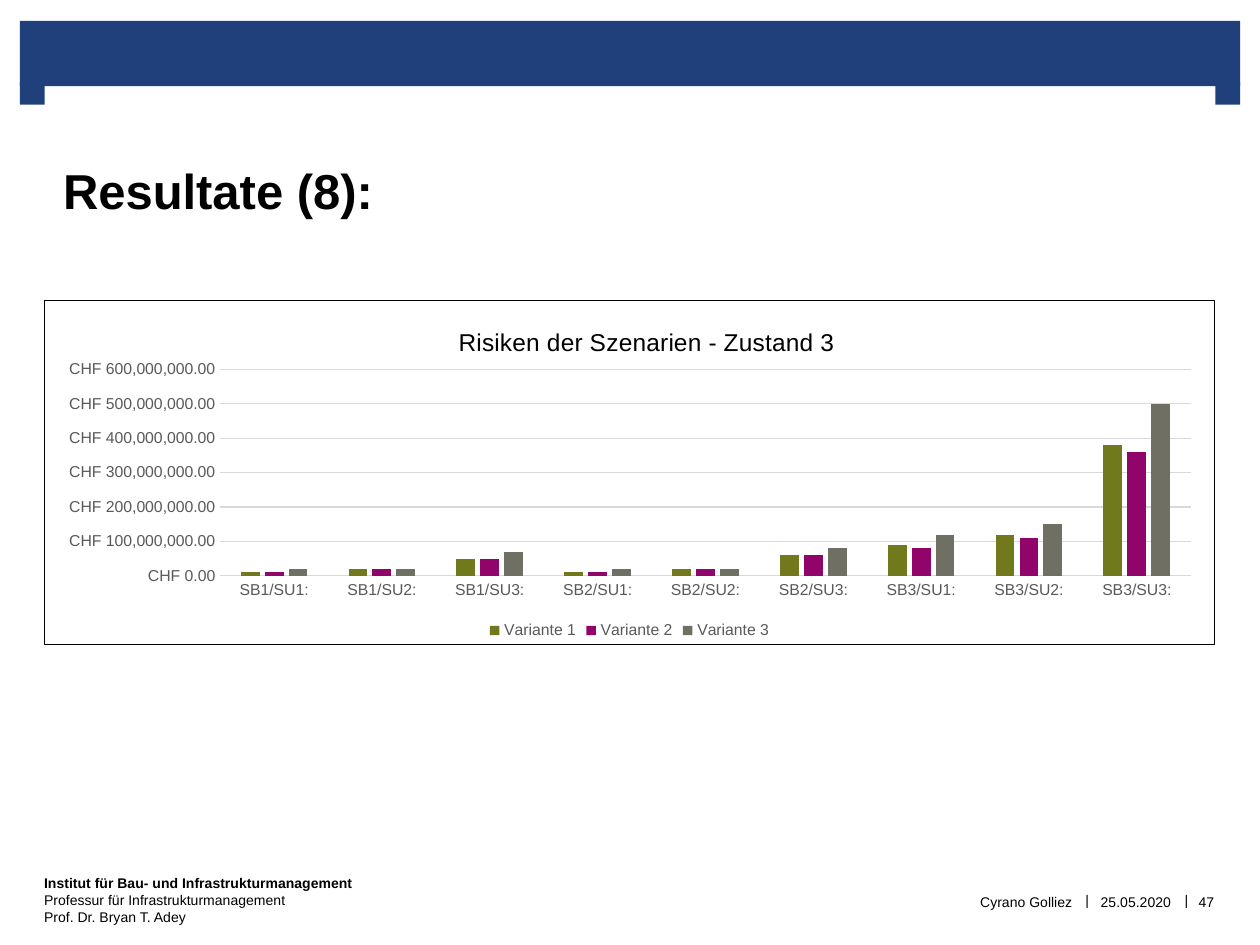
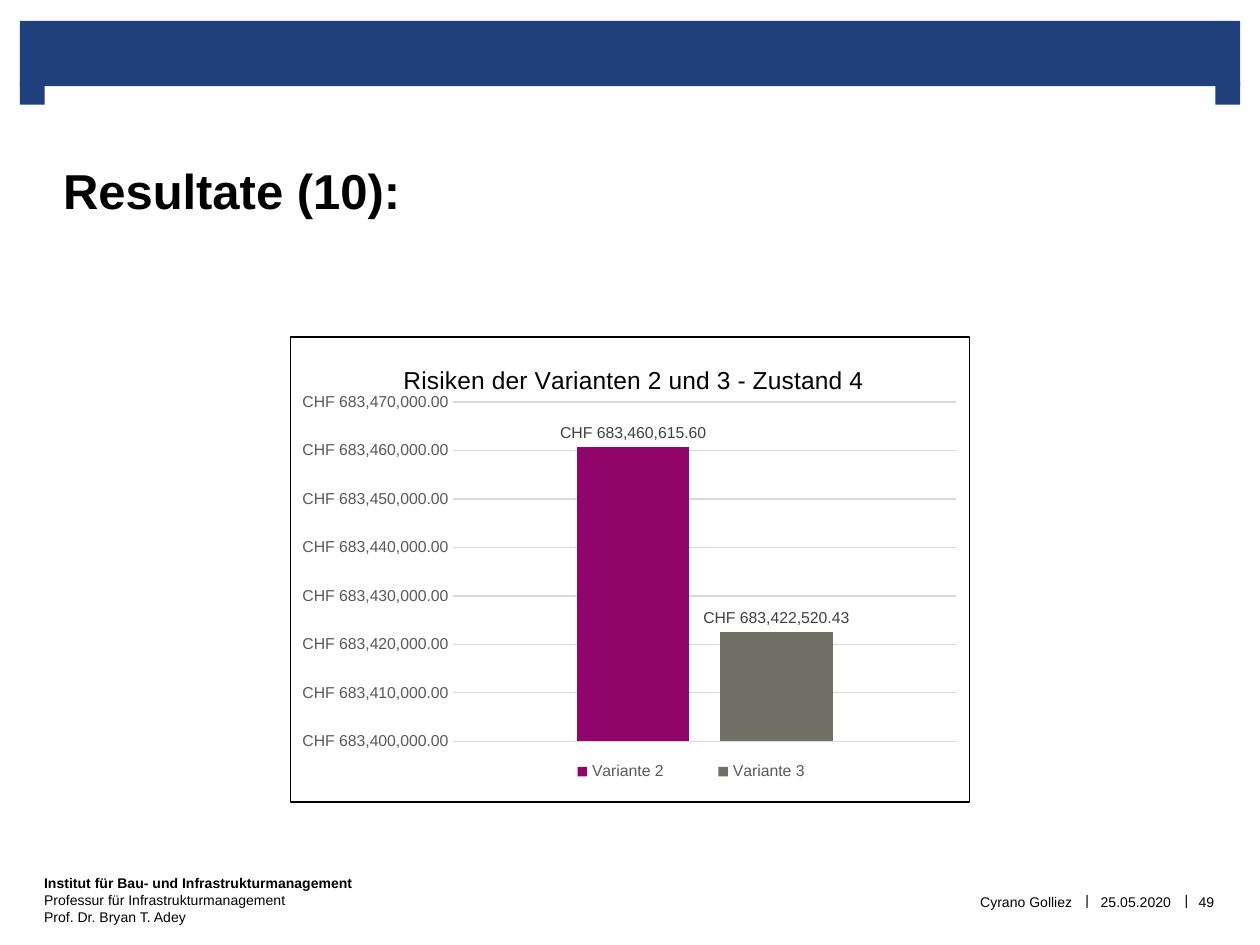
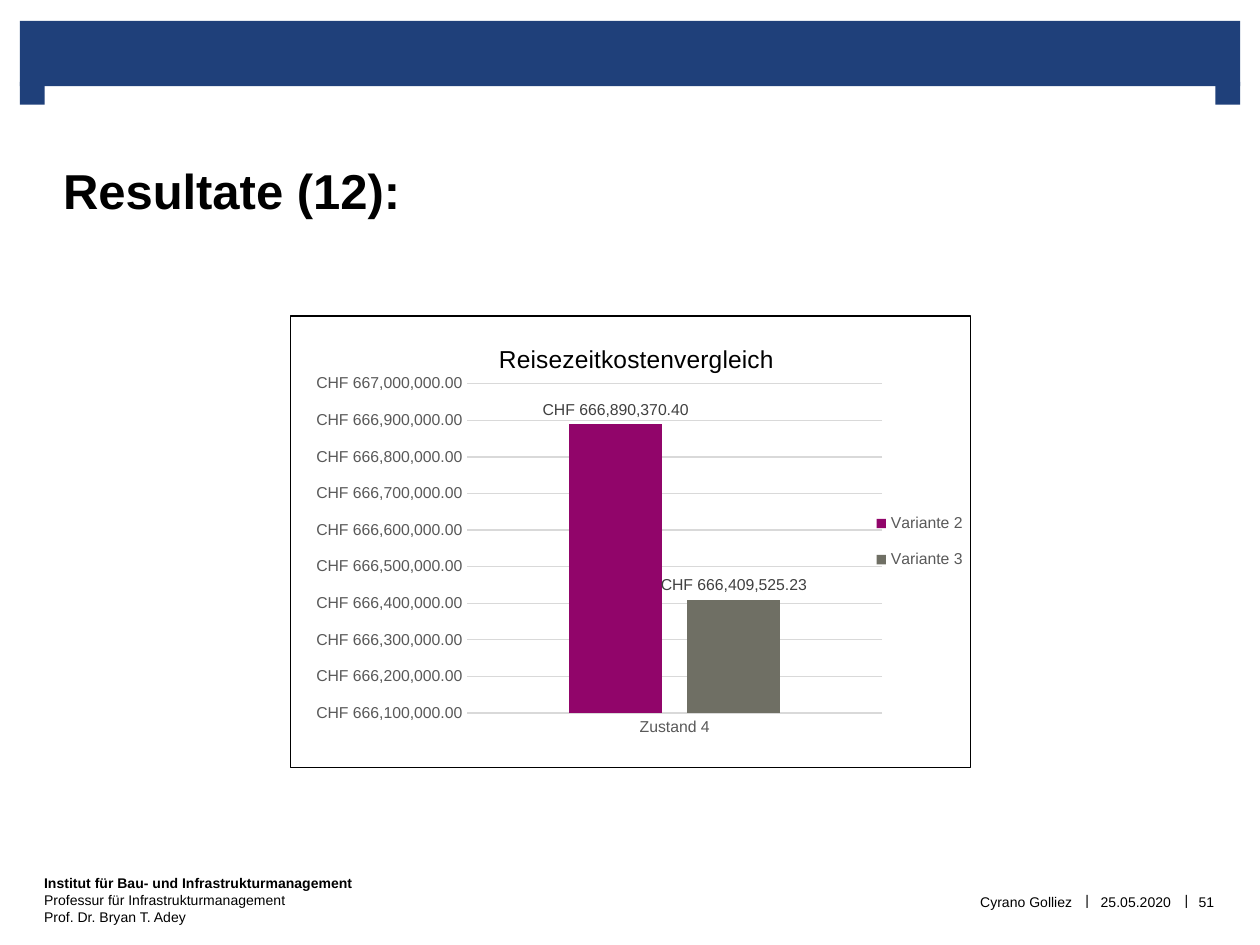
from dataclasses import dataclass

from lxml import etree
from pptx import Presentation
from pptx.chart.data import CategoryChartData
from pptx.dml.color import RGBColor
from pptx.enum.chart import XL_CHART_TYPE, XL_LABEL_POSITION, XL_LEGEND_POSITION, XL_TICK_MARK
from pptx.enum.shapes import MSO_SHAPE
from pptx.enum.text import MSO_ANCHOR, MSO_AUTO_SIZE, PP_ALIGN
from pptx.oxml import parse_xml
from pptx.oxml.ns import nsdecls, qn
from pptx.util import Cm, Pt

COLUMNS = XL_CHART_TYPE.COLUMN_CLUSTERED
OUTSIDE_END = XL_LABEL_POSITION.OUTSIDE_END
BOTTOM, RIGHT_SIDE = XL_LEGEND_POSITION.BOTTOM, XL_LEGEND_POSITION.RIGHT
NO_TICK = XL_TICK_MARK.NONE
RECTANGLE = MSO_SHAPE.RECTANGLE
MIDDLE, LOW, TOP = MSO_ANCHOR.MIDDLE, MSO_ANCHOR.BOTTOM, MSO_ANCHOR.TOP
NO_AUTOFIT = MSO_AUTO_SIZE.NONE
LEFT, CENTER, RIGHT = PP_ALIGN.LEFT, PP_ALIGN.CENTER, PP_ALIGN.RIGHT
TITLE_ONLY = 5


@dataclass(frozen=True)
class Theme:
    """Colours, font, type sizes and number format of the deck."""

    font: str = "Arial"
    band: str = "1F407A"
    paper: str = "FFFFFF"
    ink: str = "000000"
    axis: str = "595959"
    grid: str = "D9D9D9"
    label: str = "404040"
    heading_size: int = 28
    chart_title_size: int = 14
    chart_size: int = 9
    footer_size: int = 8
    line_width: float = 0.75
    currency: str = '"CHF"\\ #,##0.00'


THEME = Theme()
VARIANT_COLORS = {"Variante 1": "72791C", "Variante 2": "91056A", "Variante 3": "6F6F64"}
INSTITUTE = (
    "Institut für Bau- und Infrastrukturmanagement",
    "Professur für Infrastrukturmanagement",
    "Prof. Dr. Bryan T. Adey",
)
SCENARIOS = [f"SB{bridge}/SU{base}:" for bridge in (1, 2, 3) for base in (1, 2, 3)]
MILLION = 1_000_000

RESULTS = (
    {
        "heading": "Resultate (8):",
        "page": "47",
        "chart": {
            "title": "Risiken der Szenarien - Zustand 3",
            "box": (0.89, 6.05, 23.6, 6.96),
            "categories": SCENARIOS,
            "values": {
                "Variante 1": [v * MILLION for v in (10, 20, 50, 10, 20, 60, 90, 120, 380)],
                "Variante 2": [v * MILLION for v in (10, 20, 50, 10, 20, 60, 80, 110, 360)],
                "Variante 3": [v * MILLION for v in (20, 20, 70, 20, 20, 80, 120, 150, 500)],
            },
            "scale": (0, 600 * MILLION, 100 * MILLION),
            "legend": BOTTOM,
            "layouts": {"title": (0.35, 0.06), "plotArea": (0.15, 0.2, 0.83, 0.6)},
        },
    },
    {
        "heading": "Resultate (10):",
        "page": "49",
        "chart": {
            "title": "Risiken der Varianten 2 und 3 - Zustand 4",
            "box": (5.84, 6.78, 13.72, 9.4),
            "categories": ["1"],
            "values": {"Variante 2": [683460615.6], "Variante 3": [683422520.43]},
            "scale": (683_400_000, 683_470_000, 10_000),
            "legend": BOTTOM,
            "category_axis": False,
            "labels": True,
            "layouts": {
                "title": (0.16, 0.05),
                "plotArea": (0.24, 0.14, 0.74, 0.73),
                "legend": (0.35, 0.9, 0.48, 0.07),
            },
        },
    },
    {
        "heading": "Resultate (12):",
        "page": "51",
        "chart": {
            "title": "Reisezeitkostenvergleich",
            "box": (5.84, 6.36, 13.74, 9.12),
            "categories": ["Zustand 4"],
            "values": {"Variante 2": [666890370.4], "Variante 3": [666409525.23]},
            "scale": (666_100_000, 667_000_000, 100_000),
            "legend": RIGHT_SIDE,
            "labels": True,
            "layouts": {
                "title": (0.3, 0.05),
                "plotArea": (0.26, 0.15, 0.61, 0.73),
                "legend": (0.85, 0.4, 0.15, 0.2),
            },
        },
    },
)


def apply(target, values):
    """Set each named attribute of the target."""
    for name, value in values.items():
        setattr(target, name, value)


def place(box):
    """Turn a box in centimetres into lengths."""
    return [Cm(length) for length in box]


def style_font(font, size, color, bold=False):
    """Give a font the deck's typeface with a size and colour."""
    apply(font, {"name": THEME.font, "size": Pt(size), "bold": bold})
    font.color.rgb = RGBColor.from_string(color)


def style_line(line, color):
    """Draw a line in the deck's thin width."""
    line.color.rgb = RGBColor.from_string(color)
    line.width = Pt(THEME.line_width)


def fill_solid(shape, color):
    """Fill a shape with one colour."""
    shape.fill.solid()
    shape.fill.fore_color.rgb = RGBColor.from_string(color)


def set_margins(frame, left=0, top=0, right=0, bottom=0):
    """Set the insets of a text frame in centimetres."""
    margins = {"left": left, "top": top, "right": right, "bottom": bottom}
    apply(frame, {f"margin_{side}": Cm(inset) for side, inset in margins.items()})


def add_band(slide):
    """Draw the head band with a tab hanging from each end."""
    for box in ((0.4, 0.42, 24.6, 1.32), (0.4, 1.65, 0.5, 0.46), (24.5, 1.65, 0.5, 0.46)):
        part = slide.shapes.add_shape(RECTANGLE, *place(box))
        part.shadow.inherit = False
        fill_solid(part, THEME.band)
        part.line.fill.background()


def add_heading(slide, text):
    """Place and format the slide title."""
    heading = slide.shapes.title
    apply(heading, dict(zip(("left", "top", "width", "height"), place((0.89, 1.73, 23.6, 2.69)))))
    fill_solid(heading, THEME.paper)
    frame = heading.text_frame
    frame.text = text
    apply(frame, {"vertical_anchor": LOW, "word_wrap": True, "auto_size": NO_AUTOFIT})
    set_margins(frame, left=0.38, right=0.41)
    frame.paragraphs[0].alignment = LEFT
    style_font(frame.paragraphs[0].font, THEME.heading_size, THEME.ink, bold=True)


def add_note(slide, box, lines, alignment, anchor=MIDDLE, first_bold=False):
    """Add one footer text, a paragraph for each line."""
    frame = slide.shapes.add_textbox(*place(box)).text_frame
    frame.text = "\n".join(lines)
    apply(frame, {"vertical_anchor": anchor, "word_wrap": False})
    set_margins(frame)
    for number, paragraph in enumerate(frame.paragraphs):
        paragraph.alignment = alignment
        style_font(paragraph.font, THEME.footer_size, THEME.ink, first_bold and number == 0)


def add_footer(slide, page):
    """Add institute, author, date and page number."""
    add_note(slide, (0.89, 17.63, 6.3, 1.3), INSTITUTE, LEFT, TOP, first_bold=True)
    for left in (21.77, 23.77):
        add_note(slide, (left, 17.5, 0.3, 1.3), ["|"], CENTER)
    add_note(slide, (12.7, 17.53, 8.92, 1.3), ["Cyrano Golliez"], RIGHT)
    add_note(slide, (22.05, 17.53, 1.7, 1.3), ["25.05.2020"], CENTER)
    add_note(slide, (23.95, 17.53, 0.74, 1.3), [page], CENTER)


def set_layout(chart, part, position):
    """Fix the place of a chart part as fractions of the chart."""
    owner = next(chart.element.iter(qn(f"c:{part}")))
    for old in owner.findall(qn("c:layout")):
        owner.remove(old)
    layout = parse_xml(f"<c:layout {nsdecls('c')}><c:manualLayout/></c:layout>")
    manual = layout[0]
    settings = {"layoutTarget": "inner"} if part == "plotArea" else {}
    settings.update(xMode="edge", yMode="edge")
    settings.update(zip("xywh", position))
    for name, value in settings.items():
        etree.SubElement(manual, qn(f"c:{name}")).set("val", str(value))
    owner.insert(0 if part == "plotArea" else 1, layout)


def add_frame(chart):
    """Give the chart area its fill and border."""
    fills = [
        f'<a:solidFill><a:srgbClr val="{color}"/></a:solidFill>'
        for color in (THEME.paper, THEME.ink)
    ]
    frame = parse_xml(
        f"<c:spPr {nsdecls('c', 'a')}>{fills[0]}"
        f'<a:ln w="{Pt(THEME.line_width)}">{fills[1]}</a:ln></c:spPr>'
    )
    chart.element.find(qn("c:chart")).addnext(frame)


def style_axes(chart, scale, category_visible):
    """Format the category axis and the currency axis."""
    for axis in (chart.category_axis, chart.value_axis):
        apply(axis, {"major_tick_mark": NO_TICK, "minor_tick_mark": NO_TICK})
        style_font(axis.tick_labels.font, THEME.chart_size, THEME.axis)
    chart.category_axis.visible = category_visible
    style_line(chart.category_axis.format.line, THEME.grid)
    costs = chart.value_axis
    apply(costs, dict(zip(("minimum_scale", "maximum_scale", "major_unit"), scale)))
    apply(costs.tick_labels, {"number_format": THEME.currency, "number_format_is_linked": False})
    costs.format.line.fill.background()
    style_line(costs.major_gridlines.format.line, THEME.grid)


def style_series(plot, labelled):
    """Colour the variants and label their bars where wanted."""
    apply(plot, {"gap_width": 219, "overlap": -27, "vary_by_categories": False})
    for variant in plot.series:
        fill_solid(variant.format, VARIANT_COLORS[variant.name])
        if labelled:
            labels = variant.data_labels
            apply(labels, {
                "show_value": True,
                "position": OUTSIDE_END,
                "number_format": THEME.currency,
                "number_format_is_linked": False,
            })
            style_font(labels.font, THEME.chart_size, THEME.label)


def add_cost_chart(slide, title, box, categories, values, scale, legend, layouts,
                   category_axis=True, labels=False):
    """Add a column chart comparing the variants in francs."""
    data = CategoryChartData(number_format=THEME.currency)
    data.categories = categories
    for variant, costs in values.items():
        data.add_series(variant, costs)
    chart = slide.shapes.add_chart(COLUMNS, *place(box), data).chart
    style_font(chart.font, THEME.chart_size, THEME.ink)
    add_frame(chart)
    chart.has_title = True
    caption = chart.chart_title.text_frame
    caption.text = title
    style_font(caption.paragraphs[0].runs[0].font, THEME.chart_title_size, THEME.ink)
    chart.has_legend = True
    apply(chart.legend, {"position": legend, "include_in_layout": False})
    style_font(chart.legend.font, THEME.chart_size, THEME.axis)
    style_axes(chart, scale, category_axis)
    style_series(chart.plots[0], labels)
    for part, position in layouts.items():
        set_layout(chart, part, position)


def main():
    """Build the result slides and save the deck."""
    deck = Presentation()
    apply(deck, {"slide_width": Cm(25.4), "slide_height": Cm(19.05)})
    for result in RESULTS:
        slide = deck.slides.add_slide(deck.slide_layouts[TITLE_ONLY])
        add_band(slide)
        add_heading(slide, result["heading"])
        add_footer(slide, result["page"])
        add_cost_chart(slide, **result["chart"])
    deck.save("out.pptx")


if __name__ == "__main__":
    main()
